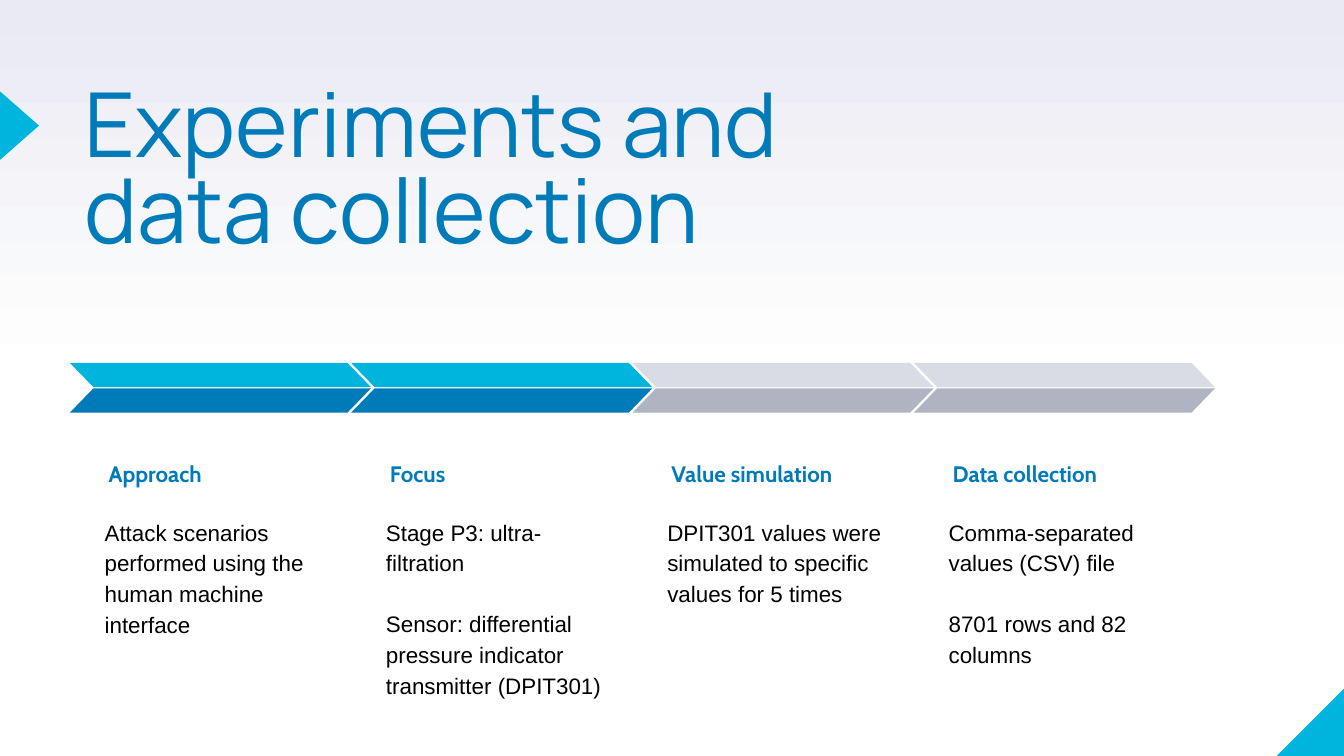
"""Build the slide on experiments and data collection as a four-step chevron timeline."""
from pptx import Presentation
from pptx import util as u
from pptx.dml.color import RGBColor
from pptx.enum import shapes, text
from pptx.oxml.ns import qn

COLORS = {
    "cyan": "00B5DD", "blue": "007BB9", "light": "DADCE5", "grey": "B0B3C1",
    "ink": "000000", "white": "FFFFFF", "haze": "E9EAF2",
}
WIDTH = 10
HEIGHT = WIDTH * 9 / 16
FIRST, LAST = 0.52, 6.8
BAND_TOP, BAND_STEP = 2.7, 0.18
STEPS = [
    ("Approach", ["Attack scenarios performed using the human machine interface"], "cyan", "blue"),
    ("Focus", ["Stage P3: ultra-filtration",
               "Sensor: differential pressure indicator transmitter (DPIT301)"], "cyan", "blue"),
    ("Value simulation", ["DPIT301 values were simulated to specific values for 5 times"],
     "light", "grey"),
    ("Data collection", ["Comma-separated values (CSV) file", "8701 rows and 82 columns"],
     "light", "grey"),
]
PITCH = (LAST - FIRST) / (len(STEPS) - 1)


def add_form(parent, preset, box, color, flip=False):
    form = parent.add_shape(preset, *map(u.Inches, box))
    form.shadow.inherit = False
    form.fill.solid()
    form.fill.fore_color.rgb = RGBColor.from_string(COLORS[color])
    form.line.fill.background()
    if flip:
        form.element.spPr.find(qn("a:xfrm")).set("flipH", "1")
    return form


def write(frame, lines, font, size, color, spacing, after=0, bold=False):
    frame.word_wrap = True
    frame.auto_size = text.MSO_AUTO_SIZE.NONE
    frame.text = "\n".join(lines)
    for paragraph in frame.paragraphs:
        paragraph.alignment = text.PP_ALIGN.LEFT
        paragraph.line_spacing = spacing
        paragraph.space_before = u.Pt(0)
        paragraph.space_after = u.Pt(after)
        for run in paragraph.runs:
            run.font.name = font
            run.font.size = u.Pt(size)
            run.font.bold = bold
            run.font.color.rgb = RGBColor.from_string(COLORS[color])


deck = Presentation()
deck.slide_width, deck.slide_height = u.Inches(WIDTH), u.Inches(HEIGHT)
slide = deck.slides.add_slide(deck.slide_layouts[5])

backdrop = slide.background.fill
backdrop.gradient()
backdrop.gradient_angle = 90
for stop, (color, position) in zip(backdrop.gradient_stops, [("white", 0.5), ("haze", 1)]):
    stop.color.rgb = RGBColor.from_string(COLORS[color])
    stop.position = position

corner = 0.51
add_form(slide.shapes, shapes.MSO_SHAPE.RIGHT_TRIANGLE,
         (WIDTH - 0.5, HEIGHT - corner, corner, corner), "cyan", flip=True)
pointer = add_form(slide.shapes, shapes.MSO_SHAPE.ISOSCELES_TRIANGLE,
                   (-0.11, 0.79, 0.51, 0.29), "cyan")
pointer.rotation = 90

title = slide.shapes.title
title.left, title.top, title.width, title.height = map(u.Inches, (0.5, 0.66, 6.36, 1.18))
heading = title.text_frame
heading.margin_left = u.Inches(0.13)
heading.margin_right = heading.margin_top = heading.margin_bottom = 0
heading.vertical_anchor = text.MSO_ANCHOR.TOP
write(heading, ["Experiments and data collection"], "Manrope", 48, "blue", 0.8)

for column, (name, details, upper, lower) in enumerate(STEPS):
    left = FIRST + column * PITCH
    step = slide.shapes.add_group_shape().shapes
    label = step.add_textbox(*map(u.Inches, (left + 0.19, 3.17, 1.84, 0.55))).text_frame
    body = step.add_textbox(*map(u.Inches, (left + 0.16, 3.73, 1.89, 0.9))).text_frame
    for frame in (label, body):
        frame.margin_left = frame.margin_right = u.Inches(0.1)
        frame.margin_top = frame.margin_bottom = u.Inches(0.1)
    label.vertical_anchor = text.MSO_ANCHOR.BOTTOM
    write(label, [name], "Cabin", 12, "blue", 1.15, bold=True)
    write(body, details, "Arial", 12, "ink", 1.15, after=16)
    for row, color in enumerate((upper, lower)):
        band = add_form(step, shapes.MSO_SHAPE.PARALLELOGRAM,
                        (left, BAND_TOP + row * (BAND_STEP + 0.01), 2.24, BAND_STEP),
                        color, flip=row == 0)
        band.adjustments[0] = 0.97

deck.save("out.pptx")
